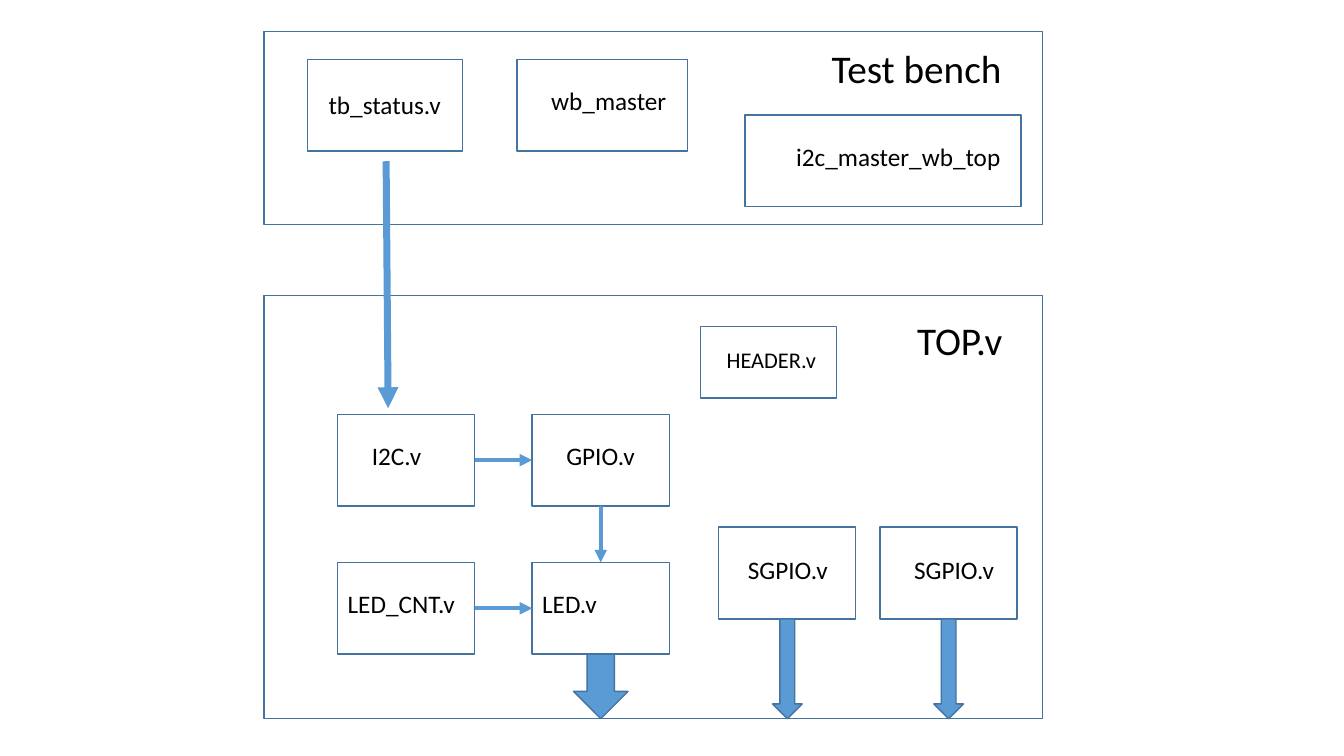
from lxml import etree
from pptx import Presentation
from pptx import util as u
from pptx.dml import color
from pptx.enum import shapes, text
from pptx.oxml import ns

deck = Presentation()
deck.slide_width, deck.slide_height = u.Inches(13.33), u.Inches(7.5)
page = deck.slides.add_slide(deck.slide_layouts[5])
column, row = deck.slide_width / 100, deck.slide_height / 100
BLUE, EDGE, BLACK = "5B9BD5", "43739E", "000000"


def paint(target, shade):
    target.solid()
    target.fore_color.rgb = color.RGBColor.from_string(shade)


def place(left, top, width, height):
    return [int(left * column), int(top * row), int(width * column), int(height * row)]


frame_left, frame_width = 19.65, 57.9
bench_top, bench_height = 4.13, 25.6
top_top, top_height = 39.07, 56
floor = top_top + top_height
wide, tall = 10.2, 12.13
first, second = 25.13, 39.6
upper, lower, output_row = 54.8, 74.4, 69.73
output_columns = [53.48, 65.48]

outlines = {
    "bench": (frame_left, bench_top, frame_width, bench_height),
    "top": (frame_left, top_top, frame_width, top_height),
    "i2c": (first, upper, wide, tall),
    "gpio": (second, upper, wide, tall),
    "led": (second, lower, wide, tall),
    "counter": (first, lower, wide, tall),
    "header": (52.13, 43.2, 10.13, 9.47),
    "output_a": (output_columns[0], output_row, wide, tall),
    "output_b": (output_columns[1], output_row, wide, tall),
    "status": (22.88, 7.87, 11.55, tall),
    "master": (38.48, 7.87, 12.68, tall),
    "bus": (55.43, 15.2, 20.55, tall),
}
boxes = {}
for name, area in outlines.items():
    box = page.shapes.add_shape(shapes.MSO_SHAPE.RECTANGLE, *place(*area))
    box.fill.background()
    boxes[name] = box

arrow_areas = [(second + wide / 2 - 2.03, lower + tall, 4.06)]
arrow_areas += [(left + wide / 2 - 1.1, output_row + tall, 2.2) for left in output_columns]
arrows = []
for left, top, width in arrow_areas:
    arrow = page.shapes.add_shape(
        shapes.MSO_SHAPE.DOWN_ARROW, *place(left, top, width, floor - top))
    paint(arrow.fill, BLUE)
    arrows.append(arrow)

for shape in [*boxes.values(), *arrows]:
    shape.shadow.inherit = False
    paint(shape.line.fill, EDGE)
    shape.line.width = u.Pt(1)

labels = [
    ("top", "TOP.v", 47.85, 2.13, 8.33, 28),
    ("i2c", "I2C.v", 1.8, 2.8, 6.53, 18),
    ("gpio", "GPIO.v", 1.8, 2.8, 7.2, 18),
    ("led", "LED.v", 0, 2.8, wide, 18),
    ("counter", "LED_CNT.v", 0, 2.8, wide, 18),
    ("header", "HEADER.v", 1.2, 1.87, 8.93, 16),
    ("output_a", "SGPIO.v", 1.43, 2.93, 7.65, 18),
    ("output_b", "SGPIO.v", 1.8, 2.93, 7.6, 18),
    ("status", "tb_status.v", 0.83, 3.33, 10.88, 18),
    ("bench", "Test bench", 41.48, 1.07, 17.25, 28),
    ("master", "wb_master", 1.8, 2.8, 10.88, 18),
    ("bus", "i2c_master_wb_top", 3.08, 2.8, 17.48, 18),
]
for name, wording, indent, drop, width, size in labels:
    left, top = outlines[name][:2]
    area = place(left + indent, top + drop, width, 7.6 if size == 28 else 5.33)
    if name == "bench":
        label = page.shapes.title
        label.left, label.top, label.width, label.height = area
    else:
        label = page.shapes.add_textbox(*area)
    frame = label.text_frame
    frame.text = wording
    frame.word_wrap = True
    frame.auto_size = text.MSO_AUTO_SIZE.NONE
    frame.vertical_anchor = text.MSO_ANCHOR.TOP
    para = frame.paragraphs[0]
    para.alignment = text.PP_ALIGN.LEFT
    para.line_spacing = 1.0
    font = para.runs[0].font
    font.name, font.size = "Calibri", u.Pt(size)
    paint(font.fill, BLACK)

above, beside, below, after = range(4)
links = []
for source, exit_side, goal, entry_side in [
    ("i2c", after, "gpio", beside),
    ("gpio", below, "led", above),
    ("counter", after, "led", beside),
]:
    link = page.shapes.add_connector(shapes.MSO_CONNECTOR.STRAIGHT, 0, 0, 0, 0)
    link.begin_connect(boxes[source], exit_side)
    link.end_connect(boxes[goal], entry_side)
    links.append((link, 3))
start, finish = place(28.73, 21.33, 0, 0)[:2], place(28.88, 54, 0, 0)[:2]
links.append((page.shapes.add_connector(shapes.MSO_CONNECTOR.STRAIGHT, *start, *finish), 5))

for link, weight in links:
    paint(link.line.fill, BLUE)
    link.line.width = u.Pt(weight)
    etree.SubElement(link.line._get_or_add_ln(), ns.qn("a:tailEnd"), type="triangle")
    etree.SubElement(link._element.spPr, ns.qn("a:effectLst"))

deck.save("out.pptx")
